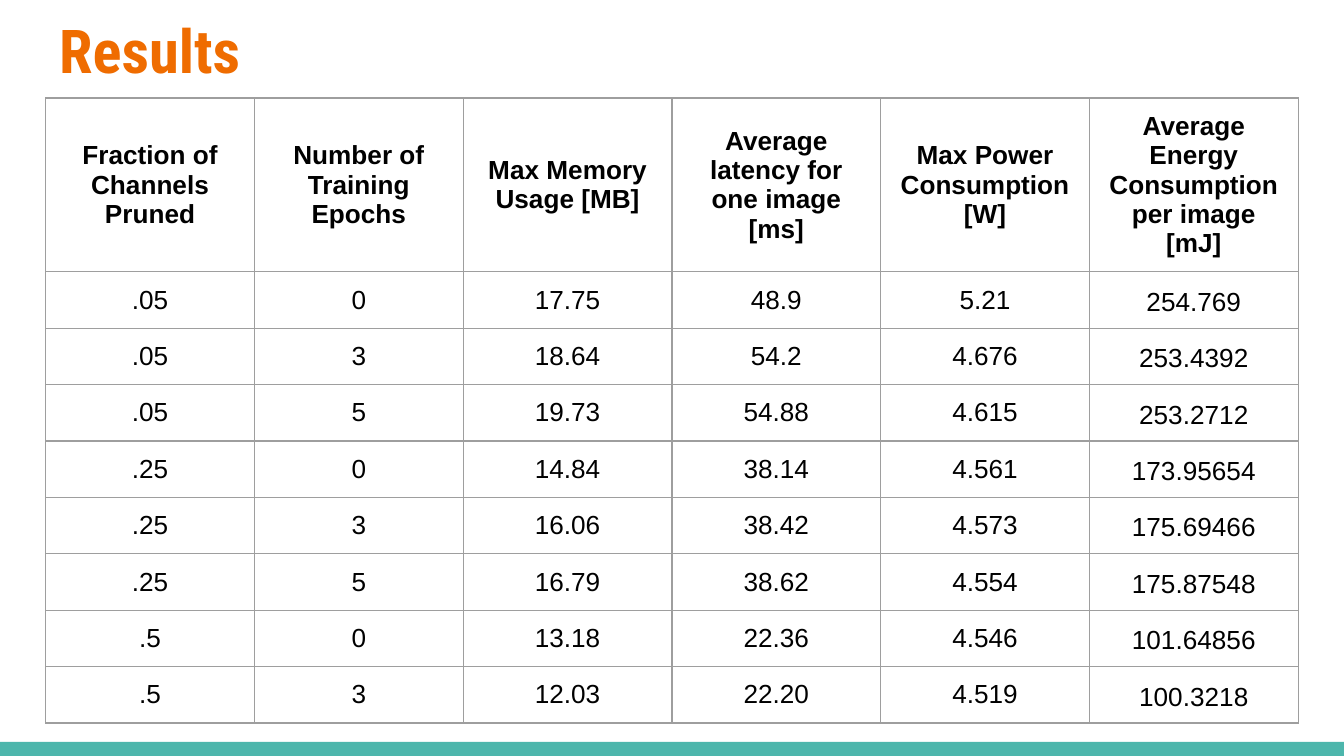
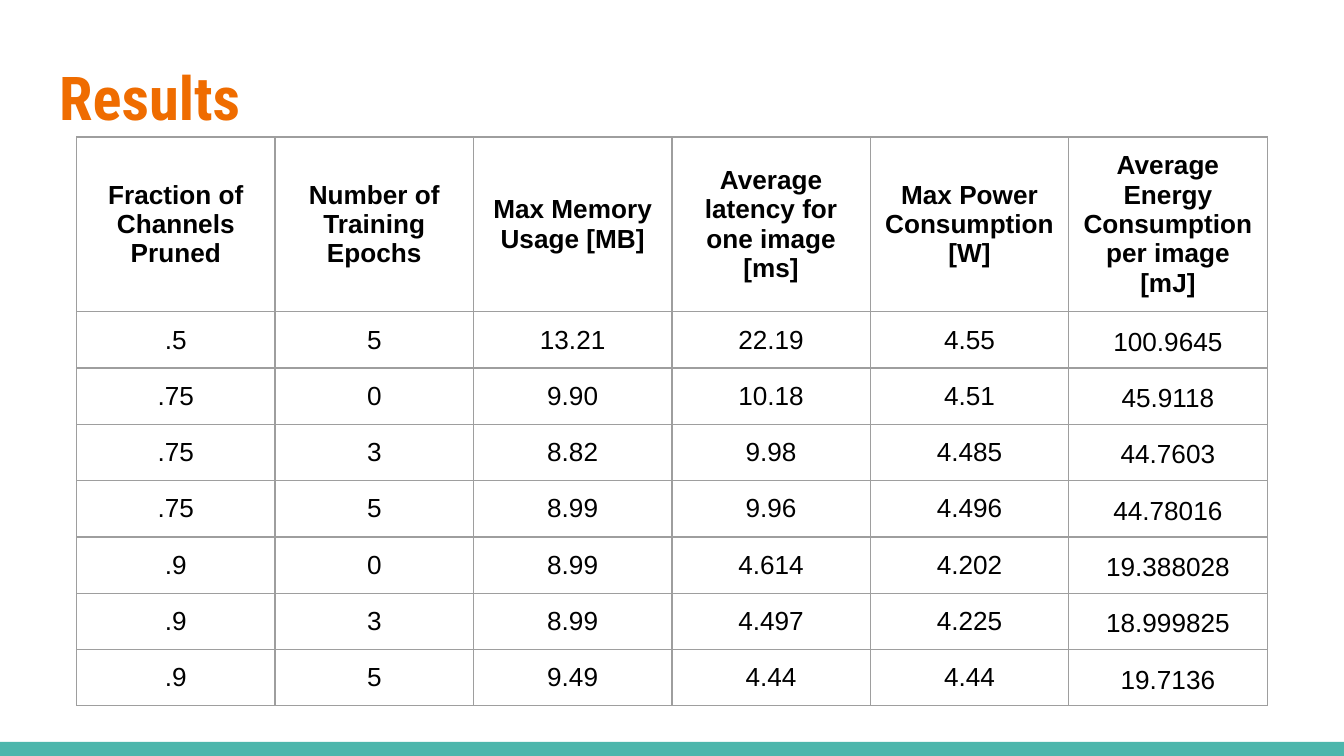
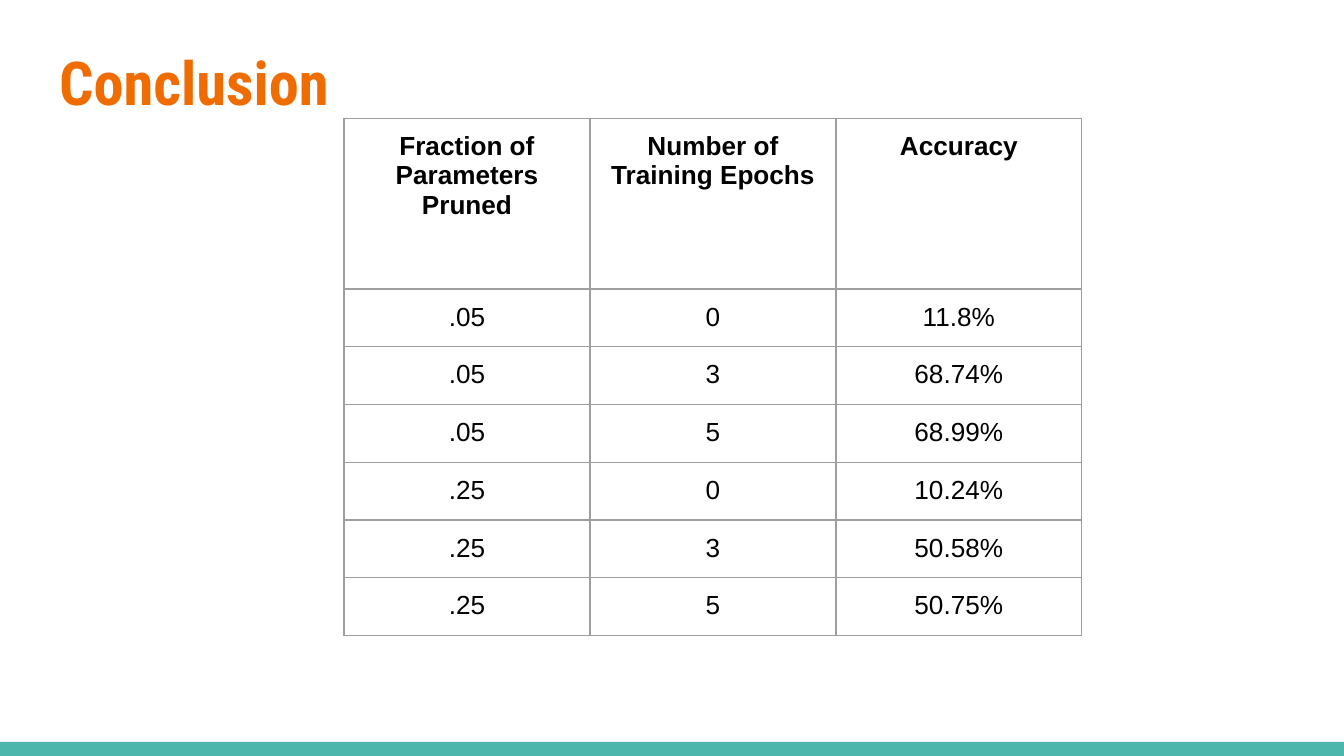
from dataclasses import dataclass

from lxml.etree import SubElement
from pptx import Presentation
from pptx.dml.color import RGBColor
from pptx.enum.shapes import MSO_SHAPE
from pptx.enum.text import MSO_ANCHOR, MSO_AUTO_SIZE, PP_ALIGN
from pptx.oxml.ns import qn
from pptx.slide import Slide
from pptx.table import _Cell as Cell
from pptx.util import Inches, Pt

# Shared look
ORANGE = RGBColor(0xEF, 0x6C, 0x00)
TEAL = RGBColor(0x4D, 0xB6, 0xAC)
BLACK = RGBColor(0x00, 0x00, 0x00)
GRID_GREY = RGBColor(0x9E, 0x9E, 0x9E)
TITLE_FONT, TABLE_FONT = "Roboto Condensed", "Arial"
SLIDE_W = Inches(10)
SLIDE_H = SLIDE_W * 9 // 16
MARGIN = Inches(0.34)
BAND_TOP = Inches(5.52)
PADDING = Inches(0.1)
TITLE_ONLY = 5


@dataclass
class TableSlide:
    """A titled slide with one table; lengths are in inches."""
    title: str
    title_top: float
    title_height: float
    left: float
    top: float
    width: float
    header_height: float
    row_height: float
    header: list[str]
    rows: list[list[str]]
    anchor: MSO_ANCHOR = MSO_ANCHOR.MIDDLE
    tight_last_column: bool = True


# Contents
RESULT_HEADER = [
    "Fraction of Channels Pruned",
    "Number of Training Epochs",
    "Max Memory Usage [MB]",
    "Average latency for one image [ms]",
    "Max Power Consumption [W]",
    "Average Energy Consumption per image [mJ]",
]

SLIDES = [
    TableSlide(
        "Results", 0, 0.74, 0.34, 0.73, 9.32, 1.24, 0.42, RESULT_HEADER,
        [
            [".05", "0", "17.75", "48.9", "5.21", "254.769"],
            [".05", "3", "18.64", "54.2", "4.676", "253.4392"],
            [".05", "5", "19.73", "54.88", "4.615", "253.2712"],
            [".25", "0", "14.84", "38.14", "4.561", "173.95654"],
            [".25", "3", "16.06", "38.42", "4.573", "175.69466"],
            [".25", "5", "16.79", "38.62", "4.554", "175.87548"],
            [".5", "0", "13.18", "22.36", "4.546", "101.64856"],
            [".5", "3", "12.03", "22.20", "4.519", "100.3218"],
        ],
    ),
    TableSlide(
        "Results", 0.33, 0.77, 0.57, 1.02, 8.86, 1.3, 0.41, RESULT_HEADER,
        [
            [".5", "5", "13.21", "22.19", "4.55", "100.9645"],
            [".75", "0", "9.90", "10.18", "4.51", "45.9118"],
            [".75", "3", "8.82", "9.98", "4.485", "44.7603"],
            [".75", "5", "8.99", "9.96", "4.496", "44.78016"],
            [".9", "0", "8.99", "4.614", "4.202", "19.388028"],
            [".9", "3", "8.99", "4.497", "4.225", "18.999825"],
            [".9", "5", "9.49", "4.44", "4.44", "19.7136"],
        ],
    ),
    TableSlide(
        "Conclusion", 0.22, 0.77, 2.56, 0.88, 5.49, 1.27, 0.43,
        ["Fraction of Parameters Pruned", "Number of Training Epochs", "Accuracy"],
        [
            [".05", "0", "11.8%"],
            [".05", "3", "68.74%"],
            [".05", "5", "68.99%"],
            [".25", "0", "10.24%"],
            [".25", "3", "50.58%"],
            [".25", "5", "50.75%"],
        ],
        anchor=MSO_ANCHOR.TOP,
        tight_last_column=False,
    ),
]


def add_band(s: Slide) -> None:
    band = s.shapes.add_shape(MSO_SHAPE.RECTANGLE, 0, BAND_TOP, SLIDE_W, SLIDE_H - BAND_TOP)
    band.shadow.inherit = False
    band.fill.solid()
    band.fill.fore_color.rgb = TEAL
    band.line.fill.background()


def set_title(s: Slide, spec: TableSlide) -> None:
    sp = s.shapes.title
    sp.left, sp.top = MARGIN, Inches(spec.title_top)
    sp.width, sp.height = SLIDE_W - 2 * MARGIN, Inches(spec.title_height)
    tf = sp.text_frame
    tf.text = spec.title
    tf.auto_size = MSO_AUTO_SIZE.NONE
    tf.vertical_anchor = MSO_ANCHOR.MIDDLE
    tf.margin_left = tf.margin_right = tf.margin_top = tf.margin_bottom = PADDING
    p = tf.paragraphs[0]
    p.alignment = PP_ALIGN.LEFT
    font = p.runs[0].font
    font.name, font.size, font.bold = TITLE_FONT, Pt(32.4), True
    font.color.rgb = ORANGE


def set_borders(cell: Cell) -> None:
    tc_pr = cell._tc.get_or_add_tcPr()
    for side in ("a:lnL", "a:lnR", "a:lnT", "a:lnB"):
        ln = SubElement(tc_pr, qn(side), w=str(Pt(0.75)))
        fill = SubElement(ln, qn("a:solidFill"))
        SubElement(fill, qn("a:srgbClr"), val=str(GRID_GREY))


def fill_cell(cell: Cell, text: str, bold: bool, tight: bool, anchor: MSO_ANCHOR) -> None:
    cell.text_frame.text = text
    cell.vertical_anchor = anchor
    cell.margin_left = cell.margin_right = Inches(0.03) if tight else PADDING
    cell.margin_top = cell.margin_bottom = Inches(0.02) if tight else PADDING
    set_borders(cell)
    cell.fill.background()
    p = cell.text_frame.paragraphs[0]
    p.alignment = PP_ALIGN.CENTER
    if tight:
        p.line_spacing = 1.15
    font = p.runs[0].font
    font.name, font.size, font.bold = TABLE_FONT, Pt(14), bold
    font.color.rgb = BLACK


def add_data_table(s: Slide, spec: TableSlide) -> None:
    grid = [spec.header, *spec.rows]
    height = spec.header_height + spec.row_height * len(spec.rows)
    table = s.shapes.add_table(
        len(grid), len(spec.header),
        Inches(spec.left), Inches(spec.top), Inches(spec.width), Inches(height),
    ).table
    table.first_row = table.horz_banding = False
    last_column = len(spec.header) - 1
    for i, values in enumerate(grid):
        is_header = i == 0
        table.rows[i].height = Inches(spec.header_height if is_header else spec.row_height)
        for j, text in enumerate(values):
            tight = spec.tight_last_column and j == last_column and not is_header
            fill_cell(table.cell(i, j), text, is_header, tight, spec.anchor)


def main() -> None:
    prs = Presentation()
    prs.slide_width, prs.slide_height = SLIDE_W, SLIDE_H
    for spec in SLIDES:
        s = prs.slides.add_slide(prs.slide_layouts[TITLE_ONLY])
        add_band(s)
        set_title(s, spec)
        add_data_table(s, spec)
    prs.save("out.pptx")


if __name__ == "__main__":
    main()
